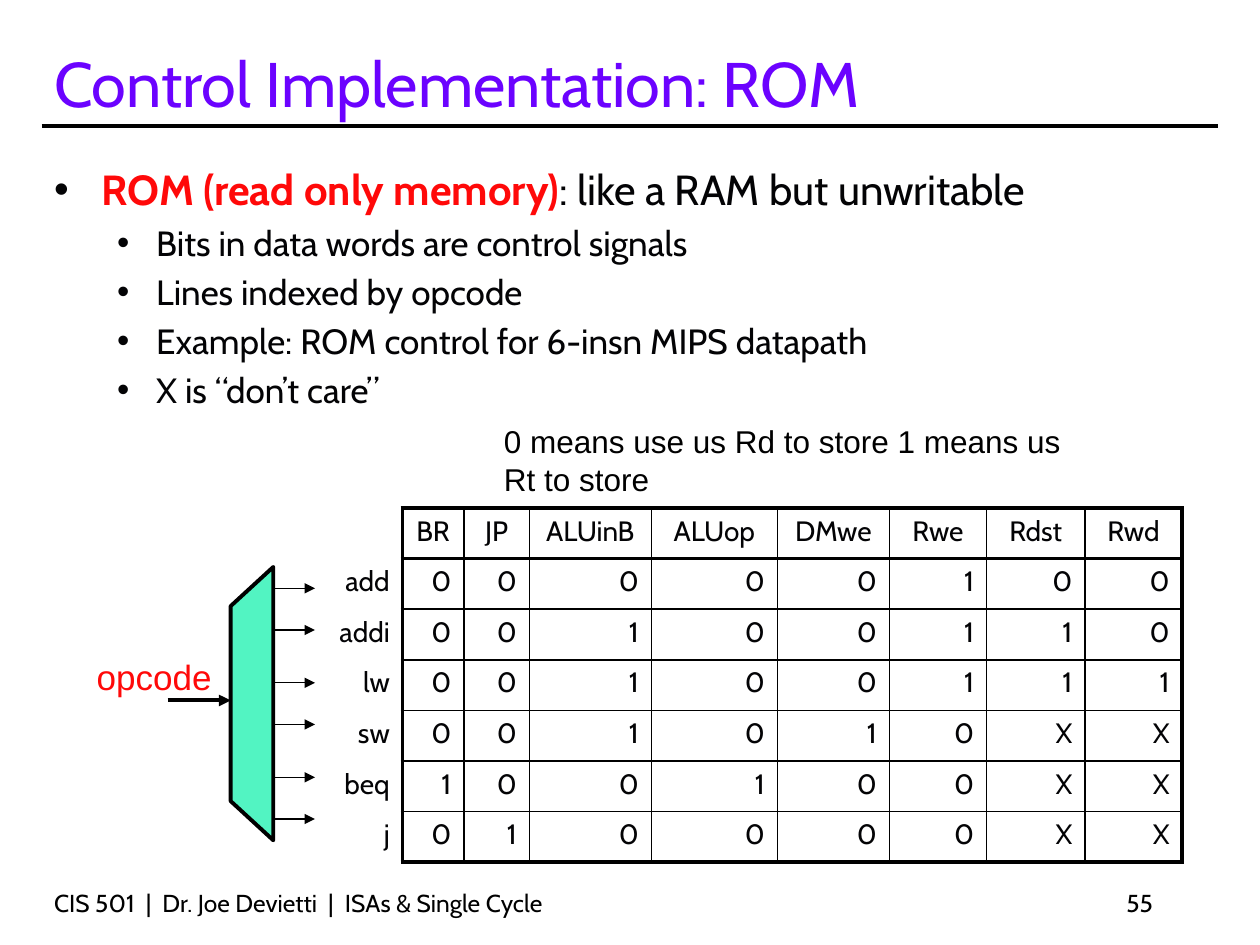
from dataclasses import dataclass
from lxml.etree import SubElement
from pptx import Presentation
from pptx.dml.color import RGBColor as Rgb
from pptx.enum.shapes import MSO_CONNECTOR as Link
from pptx.enum.text import MSO_ANCHOR as Anchor, PP_ALIGN as Align
from pptx.oxml.ns import qn
from pptx.util import Cm, Pt

BLACK, INK, RED = "000000", "030305", "FF0909"
VIOLET, MINT = "6B02FF", "52F4C2"
CABIN, ARIAL = "Cabin", "Arial"
THICK, THIN = 2.21, 0.96


@dataclass
class Label:
    text: str
    left: float
    top: float
    width: float
    height: float
    size: float
    hue: str = BLACK
    face: str = CABIN
    side: Align = Align.LEFT
    anchor: Anchor = Anchor.BOTTOM
    wrap: bool = True


@dataclass
class Arrow:
    left: float
    right: float
    y: float
    weight: float
    head: bool = True


@dataclass
class Point:
    text: str
    level: int = 1
    lead: str = ""


LABELS = [
    Label("CIS 501  |  Dr. Joe Devietti  |  ISAs & Single Cycle",
          0.84, 17.78, 15.88, 0.84, 14),
    Label("55", 18.21, 17.78, 5.28, 0.84, 14, side=Align.RIGHT),
    Label("Control Implementation: ROM", 0.84, 0.64, 22.43, 1.9, 36, VIOLET),
    Label("opcode", 1.7, 13.08, 2.82, 1.09, 20, RED, ARIAL,
          anchor=Anchor.TOP, wrap=False),
    Label("0 means use us Rd to store 1 means us Rt to store",
          9.91, 8.38, 12.45, 1.68, 18, BLACK, ARIAL, anchor=Anchor.TOP),
]
POINTS = [
    Point(": like a RAM but unwritable", 0, "ROM (read only memory)"),
    Point("Bits in data words are control signals"),
    Point("Lines indexed by opcode"),
    Point("Example: ROM control for 6-insn MIPS datapath"),
    Point("X is “don’t care”"),
]
ROWS = [
    ["", "BR", "JP", "ALUinB", "ALUop", "DMwe", "Rwe", "Rdst", "Rwd"],
    ["add", *"00000100"],
    ["addi", *"00100110"],
    ["lw", *"00100111"],
    ["sw", *"001010XX".replace("001010", "001010")],
    ["beq", *"100100XX"],
    ["j", *"010000XX"],
]
ROWS[4] = ["sw", *"001010XX"]
WIDTHS = [1.96, 1.24, 1.32, 2.46, 2.54, 2.26, 1.96, 1.98, 1.96]
MUX = [(5.51, 11.43), (5.51, 16.94), (4.65, 16.15), (4.65, 12.22)]
ARROWS = [Arrow(0.84, 24.56, 2.54, 2.25, False), Arrow(3.38, 4.65, 14.12, 2.25)]
ARROWS += [Arrow(5.51, 6.35, 11.86 + 1.905 * pair + gap, 0.75)
           for pair in range(3) for gap in (0, 0.84)]


def paint(code: str) -> Rgb:
    return Rgb.from_string(code)


def style(run, size: float, hue: str, face: str = CABIN, bold: bool = False) -> None:
    run.font.size, run.font.name, run.font.bold = Pt(size), face, bold
    run.font.color.rgb = paint(hue)


def write(slide, item: Label) -> None:
    box = slide.shapes.add_textbox(Cm(item.left), Cm(item.top),
                                   Cm(item.width), Cm(item.height))
    frame = box.text_frame
    frame.text = item.text
    frame.word_wrap, frame.vertical_anchor = item.wrap, item.anchor
    line = frame.paragraphs[0]
    line.alignment = item.side
    style(line.runs[0], item.size, item.hue, item.face)


def mark(line, level: int) -> None:
    props = line._p.get_or_add_pPr()
    left, hang = ((0.95, 0.95), (2.06, 0.79))[level]
    props.set("marL", str(Cm(left)))
    props.set("indent", str(-Cm(hang)))
    tint = SubElement(props, qn("a:buClr"))
    SubElement(tint, qn("a:srgbClr"), val=INK)
    SubElement(props, qn("a:buFont"), typeface=ARIAL)
    SubElement(props, qn("a:buChar"), char="•")


def list_points(slide, points: list[Point]) -> None:
    box = slide.shapes.add_textbox(Cm(0.84), Cm(3.18), Cm(23.7), Cm(6.55))
    frame = box.text_frame
    frame.word_wrap = True
    for place, point in enumerate(points):
        line = frame.add_paragraph() if place else frame.paragraphs[0]
        line.text = point.lead or point.text
        line.level = point.level
        if place:
            line.space_before = Pt(4)
        mark(line, point.level)
        size = 20 if point.level else 24
        style(line.runs[0], size, RED if point.lead else INK, bold=bool(point.lead))
        if point.lead:
            rest = line.add_run()
            rest.text = point.text
            style(rest, size, INK)


def edge(cell, side: str, weight: float) -> None:
    line = SubElement(cell._tc.get_or_add_tcPr(), qn(f"a:ln{side}"), w=str(Pt(weight)))
    if weight:
        fill = SubElement(line, qn("a:solidFill"))
        SubElement(fill, qn("a:srgbClr"), val=BLACK)
    else:
        SubElement(line, qn("a:noFill"))


def frame_cell(cell, row: int, col: int) -> None:
    last, end = len(ROWS) - 1, len(WIDTHS) - 1
    if col:
        sides = {"L": THICK if col == 1 else THIN,
                 "R": THICK if col == end else THIN,
                 "T": THICK if row < 2 else THIN,
                 "B": THICK if row in (0, last) else THIN}
    else:
        sides = {"L": 0, "R": THICK, "T": 0, "B": 0}
    for side, weight in sides.items():
        edge(cell, side, weight)


def draw_table(slide) -> None:
    high = 1.02
    table = slide.shapes.add_table(len(ROWS), len(WIDTHS), Cm(6.15), Cm(10.24),
                                   Cm(sum(WIDTHS)), Cm(high * len(ROWS))).table
    table.first_row = table.horz_banding = False
    for col, width in enumerate(WIDTHS):
        table.columns[col].width = Cm(width)
    for row, texts in enumerate(ROWS):
        table.rows[row].height = Cm(high)
        for col, text in enumerate(texts):
            cell = table.cell(row, col)
            cell.margin_bottom = Cm(0)
            frame_cell(cell, row, col)
            cell.fill.background()
            if text:
                cell.text_frame.text = text
                line = cell.text_frame.paragraphs[0]
                line.alignment = Align.RIGHT if row else Align.CENTER
                style(line.runs[0], 16, INK)


def draw_mux(slide) -> None:
    first, *rest = [(Cm(x), Cm(y)) for x, y in MUX]
    path = slide.shapes.build_freeform(*first, scale=1.0)
    path.add_line_segments(rest, close=True)
    shape = path.convert_to_shape()
    shape.shadow.inherit = False
    shape.fill.solid()
    shape.fill.fore_color.rgb = paint(MINT)
    shape.line.color.rgb = paint(BLACK)
    shape.line.width = Pt(2.25)


def draw_arrow(slide, item: Arrow) -> None:
    wire = slide.shapes.add_connector(Link.STRAIGHT, Cm(item.left), Cm(item.y),
                                      Cm(item.right), Cm(item.y))
    wire.line.color.rgb = paint(BLACK)
    wire.line.width = Pt(item.weight)
    if item.head:
        SubElement(wire.line._get_or_add_ln(), qn("a:tailEnd"), type="triangle")
    SubElement(wire._element.spPr, qn("a:effectLst"))


def main() -> None:
    deck = Presentation()
    deck.slide_width, deck.slide_height = Cm(25.4), Cm(19.05)
    slide = deck.slides.add_slide(deck.slide_layouts[6])
    list_points(slide, POINTS)
    draw_table(slide)
    draw_mux(slide)
    for item in ARROWS:
        draw_arrow(slide, item)
    for item in LABELS:
        write(slide, item)
    deck.save("out.pptx")


if __name__ == "__main__":
    main()
